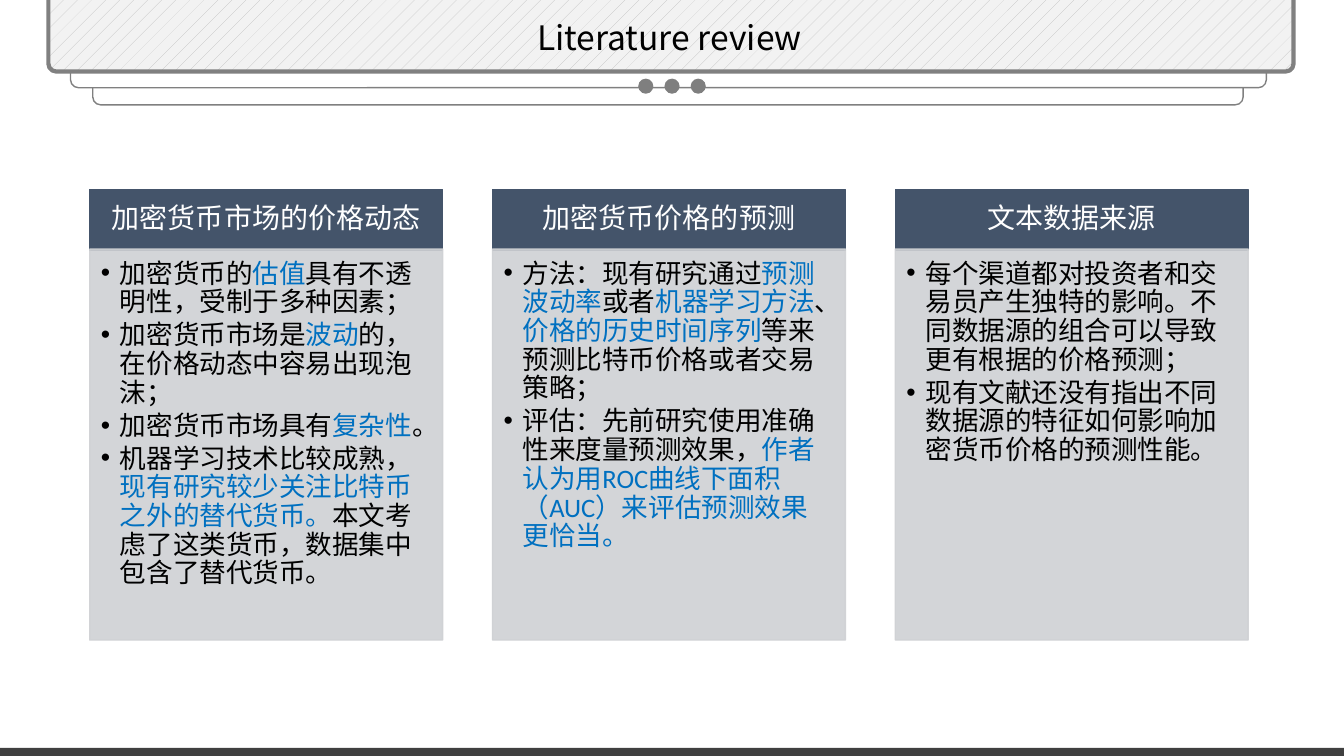
from lxml.etree import SubElement
from pptx import Presentation
from pptx.dml.color import RGBColor
from pptx.enum.dml import MSO_PATTERN as PATTERN
from pptx.enum.shapes import MSO_SHAPE as SHAPE
from pptx.enum.text import MSO_ANCHOR as ANCHOR, PP_ALIGN as ALIGN
from pptx.oxml.ns import qn
from pptx.util import Inches, Pt

COLORS = {
    "white": "FFFFFF", "black": "000000", "frame": "808080", "dot": "7F7F7F",
    "hatch": "BFBFBF", "banner": "F2F2F2", "footer": "404040",
    "header": "44546A", "panel": "CFD1D4", "accent": "0070C0",
}
EAST_ASIAN = "Noto Sans CJK SC"
WIDTH, HEIGHT = 13.33, 7.5

TOPICS = [
    ("加密货币市场的价格动态", [
        "加密货币的|估值|具有不透明性，受制于多种因素；",
        "加密货币市场是|波动|的，在价格动态中容易出现泡沫；",
        "加密货币市场具有|复杂性|。",
        "机器学习技术比较成熟，|现有研究较少关注比特币之外的替代货币。|本文考虑了这类货币，数据集中包含了替代货币。",
    ]),
    ("加密货币价格的预测", [
        "方法：现有研究通过|预测波动率|或者|机器学习方法|、|价格的历史时间序列|等来预测比特币价格或者交易策略；",
        "评估：先前研究使用准确性来度量预测效果，|作者认为用ROC曲线下面积（AUC）来评估预测效果更恰当。",
    ]),
    ("文本数据来源", [
        "每个渠道都对投资者和交易员产生独特的影响。不同数据源的组合可以导致更有根据的价格预测；",
        "现有文献还没有指出不同数据源的特征如何影响加密货币价格的预测性能。",
    ]),
]

prs = Presentation()
prs.slide_width, prs.slide_height = Inches(WIDTH), Inches(HEIGHT)
slide = prs.slides.add_slide(prs.slide_layouts[6])


def add_block(kind, left, top, width, height, fill, line=None, weight=1):
    block = slide.shapes.add_shape(
        kind, Inches(left), Inches(top), Inches(width), Inches(height))
    block.shadow.inherit = False
    block.fill.solid()
    block.fill.fore_color.rgb = RGBColor.from_string(COLORS[fill])
    if line:
        block.line.color.rgb = RGBColor.from_string(COLORS[line])
        block.line.width = Pt(weight)
    else:
        block.line.fill.background()
    return block


def style_run(run, size, color, font="Calibri"):
    run.font.size = Pt(size)
    run.font.name = font
    run.font.color.rgb = RGBColor.from_string(COLORS[color])
    SubElement(run.font._element, qn("a:ea"), typeface=EAST_ASIAN)


SHEET_H = 3.9
for left, bottom, width, weight in [
        (0.92, 1.04, 11.41, 1), (0.7, 0.87, 11.86, 1), (0.48, 0.71, 12.35, 3)]:
    banner = add_block(SHAPE.ROUNDED_RECTANGLE, left, bottom - SHEET_H, width,
                       SHEET_H, "white", "frame", weight)
    banner.adjustments[0] = 0.02
banner.fill.patterned()
banner.fill.pattern = PATTERN.PERCENT_5
banner.fill.fore_color.rgb = RGBColor.from_string(COLORS["hatch"])
banner.fill.back_color.rgb = RGBColor.from_string(COLORS["banner"])

add_block(SHAPE.RECTANGLE, 0, HEIGHT - 0.08, WIDTH, 0.08, "footer")

DOT, DOT_PITCH = 0.15, 0.26
for step in (-1, 0, 1):
    add_block(SHAPE.OVAL, WIDTH / 2 - DOT / 2 + step * DOT_PITCH, 0.78,
              DOT, DOT, "dot")

GRID_LEFT, GRID_RIGHT, COLUMN_W = 0.89, 12.38, 3.5
HEAD_TOP, HEAD_H, BODY_H = 1.88, 0.6, 3.88
pitch = (GRID_RIGHT - GRID_LEFT - COLUMN_W) / (len(TOPICS) - 1)

for column, (heading, points) in enumerate(TOPICS):
    left = GRID_LEFT + column * pitch
    header = add_block(SHAPE.RECTANGLE, left, HEAD_TOP, COLUMN_W, HEAD_H,
                       "header", "header")
    frame = header.text_frame
    frame.word_wrap = True
    frame.vertical_anchor = ANCHOR.MIDDLE
    frame.margin_left = frame.margin_right = Inches(0.16)
    frame.margin_top = frame.margin_bottom = Inches(0.09)
    frame.text = heading
    frame.paragraphs[0].alignment = ALIGN.CENTER
    frame.paragraphs[0].line_spacing = 0.9
    style_run(frame.paragraphs[0].runs[0], 20, "white")

    panel = add_block(SHAPE.RECTANGLE, left, HEAD_TOP + HEAD_H - 0.01,
                      COLUMN_W, BODY_H, "panel", "panel")
    for tint in panel._element.spPr.iter(qn("a:srgbClr")):
        SubElement(tint, qn("a:alpha"), val="90000")
    frame = panel.text_frame
    frame.word_wrap = True
    frame.vertical_anchor = ANCHOR.TOP
    frame.margin_left = frame.margin_top = Inches(0.11)
    frame.margin_right, frame.margin_bottom = Inches(0.15), Inches(0.17)
    for index, point in enumerate(points):
        paragraph = frame.paragraphs[0] if index == 0 else frame.add_paragraph()
        paragraph.alignment = ALIGN.LEFT
        paragraph.line_spacing = 0.9
        paragraph.space_after = Pt(3)
        props = paragraph._p.get_or_add_pPr()
        props.set("marL", str(Inches(0.19)))
        props.set("indent", str(-Inches(0.19)))
        SubElement(props, qn("a:buFont"), typeface="Arial")
        SubElement(props, qn("a:buChar"), char="•")
        for part, words in enumerate(point.split("|")):
            run = paragraph.add_run()
            run.text = words
            style_run(run, 19, "accent" if part % 2 else "black")

title = slide.shapes.add_textbox(
    Inches(4.26), Inches(0.12), Inches(4.76), Inches(0.5)).text_frame
title.word_wrap = True
title.text = "Literature review"
title.paragraphs[0].alignment = ALIGN.CENTER
style_run(title.paragraphs[0].runs[0], 24, "black", EAST_ASIAN)

prs.save("out.pptx")
